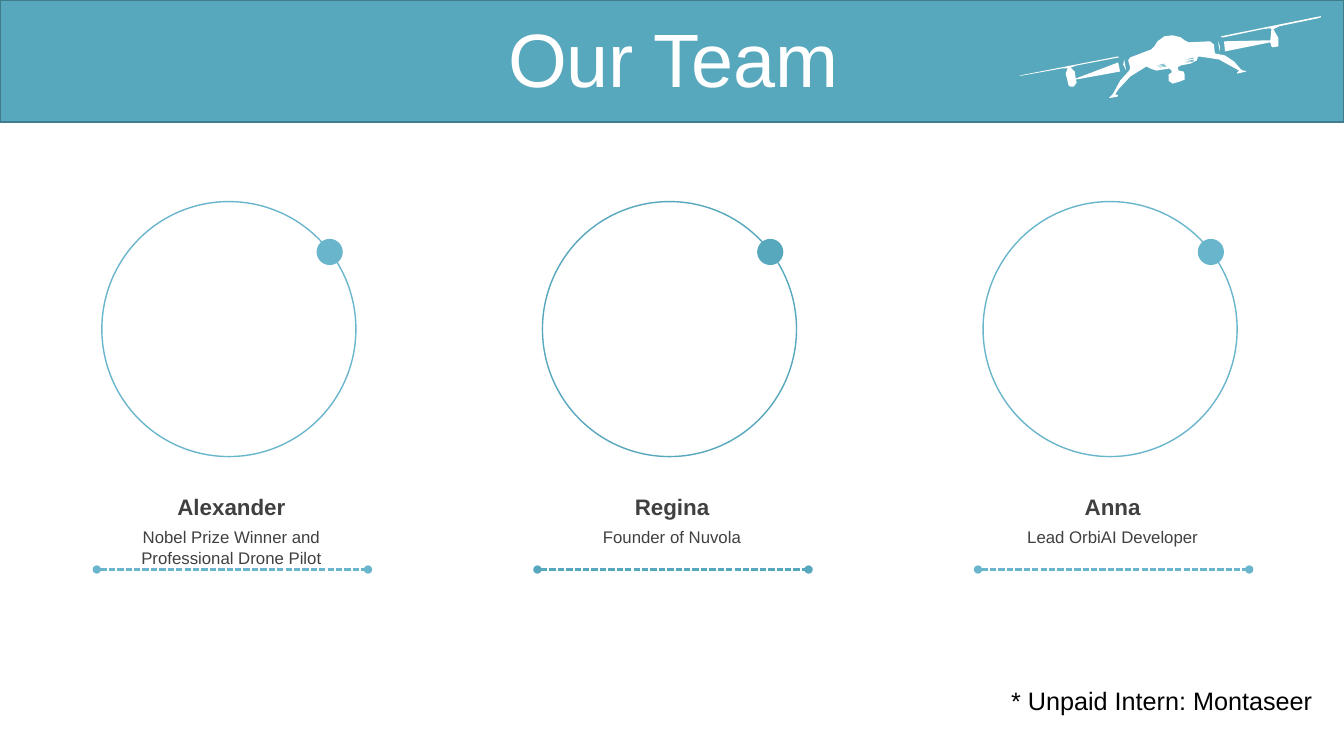
from lxml.etree import SubElement
from pptx import Presentation
from pptx.dml.color import RGBColor as Rgb
from pptx.enum.dml import MSO_LINE as Dash
from pptx.enum.shapes import MSO_CONNECTOR as Link, MSO_SHAPE as Kind
from pptx.enum.text import MSO_ANCHOR as Anchor, MSO_AUTO_SIZE as Fit, PP_ALIGN as Align
from pptx.oxml.ns import qn
from pptx.util import Pt

PX = 9144  # EMU per px, 100 px to the inch
WIDE, HIGH = 1333, 750
STEP = 437  # from one member to the next
FONT = "Arial"
HUES = {"band": "57A7BD", "edge": "407C8C", "light": "69B6CC",
        "white": "FFFFFF", "text": "404040", "black": "000000"}

TEAM = [
    ("Alexander", "Nobel Prize Winner and Professional Drone Pilot", "light"),
    ("Regina", "Founder of Nuvola", "band"),
    ("Anna", "Lead OrbiAI Developer", "light"),
]

# Drone outlines, in px from the corner of the drone's box
DRONE = {
    "right rotor": [
        (200, 20), (299, 0), (299, 1), (297, 2), (258, 10), (252, 13), (257, 22),
        (257, 27), (257, 30), (251, 31), (250, 30), (249, 26), (204, 35), (203, 25),
        (249, 24), (250, 13), (249, 12), (241, 13), (203, 21), (201, 21)],
    "left rotor": [
        (98, 46), (100, 55), (56, 63), (57, 66), (54, 70), (51, 70), (49, 69),
        (46, 57), (48, 52), (42, 52), (3, 59), (0, 59), (98, 40), (99, 41),
        (57, 49), (51, 51), (55, 55), (56, 62)],
    "left joint": [(104, 43), (106, 54), (103, 48)],
    "right joint": [(197, 25), (199, 30), (199, 36)],
    "body": [
        (222, 54), (220, 53), (213, 45), (204, 39), (194, 37), (193, 28), (189, 25),
        (168, 26), (164, 24), (160, 21), (152, 19), (144, 20), (137, 25), (134, 30),
        (131, 33), (110, 41), (108, 44), (110, 51), (109, 54), (100, 64), (93, 77),
        (90, 80), (89, 81), (91, 81), (97, 80), (98, 79), (97, 78), (95, 78),
        (98, 73), (110, 60), (126, 50), (130, 52), (136, 54), (149, 52), (151, 54),
        (151, 56), (148, 58), (148, 64), (152, 67), (159, 65), (164, 63), (164, 58),
        (163, 55), (158, 54), (157, 51), (160, 49), (170, 47), (176, 44), (177, 41),
        (178, 40), (198, 43), (218, 54), (216, 56), (216, 57), (225, 55), (224, 54)],
}
VENTS = [(132, 50), (133, 51), (134, 52), (161, 44), (161, 46), (161, 47)]


def paint(shape, fill=None, line=None, size=1):
    shape.shadow.inherit = False
    if fill:
        shape.fill.solid()
        shape.fill.fore_color.rgb = Rgb.from_string(HUES[fill])
    else:
        shape.fill.background()
    if line:
        shape.line.color.rgb = Rgb.from_string(HUES[line])
        shape.line.width = Pt(size)
    else:
        shape.line.fill.background()


def form(slide, kind, box, **look):
    shape = slide.shapes.add_shape(kind, *[n * PX for n in box])
    paint(shape, **look)


def write(frame, words, size, hue, align, bold=False):
    frame.word_wrap = True
    para = frame.paragraphs[0]
    para.alignment = align
    run = para.add_run()
    run.text = words
    run.font.name = FONT
    run.font.size = Pt(size)
    run.font.bold = bold
    run.font.color.rgb = Rgb.from_string(HUES[hue])
    return para


def label(slide, box, *style, **more):
    area = slide.shapes.add_textbox(*[n * PX for n in box])
    write(area.text_frame, *style, **more)


def rule(slide, left, top, width, hue):
    line = slide.shapes.add_connector(
        Link.STRAIGHT, left * PX, top * PX, (left + width) * PX, top * PX)
    line.line.color.rgb = Rgb.from_string(HUES[hue])
    line.line.width = Pt(1.5)
    line.line.dash_style = Dash.SQUARE_DOT
    pen = line.line._get_or_add_ln()
    for end in ("a:headEnd", "a:tailEnd"):
        SubElement(pen, qn(end), type="oval")
    SubElement(pen.getparent(), qn("a:effectLst"))


def drone(slide, left, top):
    for name, dots in DRONE.items():
        rings = [dots]
        if name == "body":
            rings += [[(x, y), (x + 12, y - 3), (x + 12, y - 2)] for x, y in VENTS]
        pen = slide.shapes.build_freeform(*dots[0], scale=PX)
        for ring in rings:
            if ring is not dots:
                pen.move_to(*ring[0])
            pen.add_line_segments(ring[1:], close=True)
        paint(pen.convert_to_shape(left * PX, top * PX), fill="white")


def header(slide, left, top, width, height):
    form(slide, Kind.RECTANGLE, (left, top, width, height), fill="band", line="edge")
    drone(slide, left + 1011, top + 16)
    # Title, brought in front of the band
    title = slide.shapes.title
    title.element.getparent().append(title.element)
    title.left, title.top = (left + 35) * PX, (top + 23) * PX
    title.width, title.height = 1266 * PX, 79 * PX
    frame = title.text_frame
    frame.auto_size = Fit.NONE
    frame.vertical_anchor = Anchor.MIDDLE
    para = write(frame, "Our Team", 54, "white", Align.CENTER)
    para.line_spacing = 0.9
    para.space_before = Pt(10)


def member(slide, left, top, name, role, hue):
    # Portrait ring and its dot
    form(slide, Kind.OVAL, (left + 5, top, 252, 253), line=hue)
    form(slide, Kind.OVAL, (left + 218, top + 37, 26, 26), fill=hue)
    # Dashed rule, name and role
    rule(slide, left, top + 365, 269, hue)
    label(slide, (left + 24, top + 284, 219, 37), name, 16, "text", Align.CENTER, bold=True)
    label(slide, (left + 24, top + 318, 219, 50), role, 12, "text", Align.CENTER)


def main():
    deck = Presentation()
    deck.slide_width, deck.slide_height = WIDE * PX, HIGH * PX
    slide = deck.slides.add_slide(deck.slide_layouts[5])
    header(slide, 0, 0, WIDE, 121)
    for i, person in enumerate(TEAM):
        member(slide, 96 + i * STEP, 200, *person)
    # Footnote
    label(slide, (993, 675, 330, 40), "* Unpaid Intern: Montaseer", 18, "black", Align.LEFT)
    deck.save("out.pptx")


if __name__ == "__main__":
    main()
